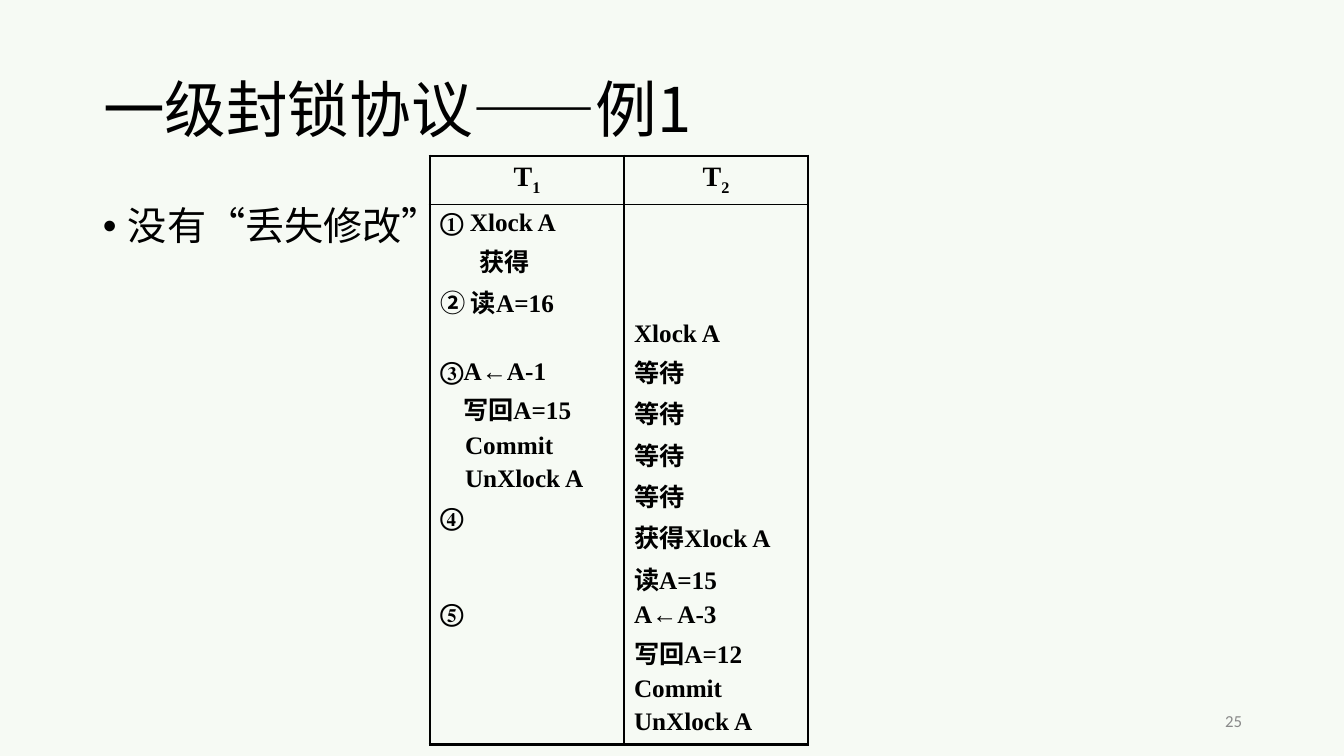
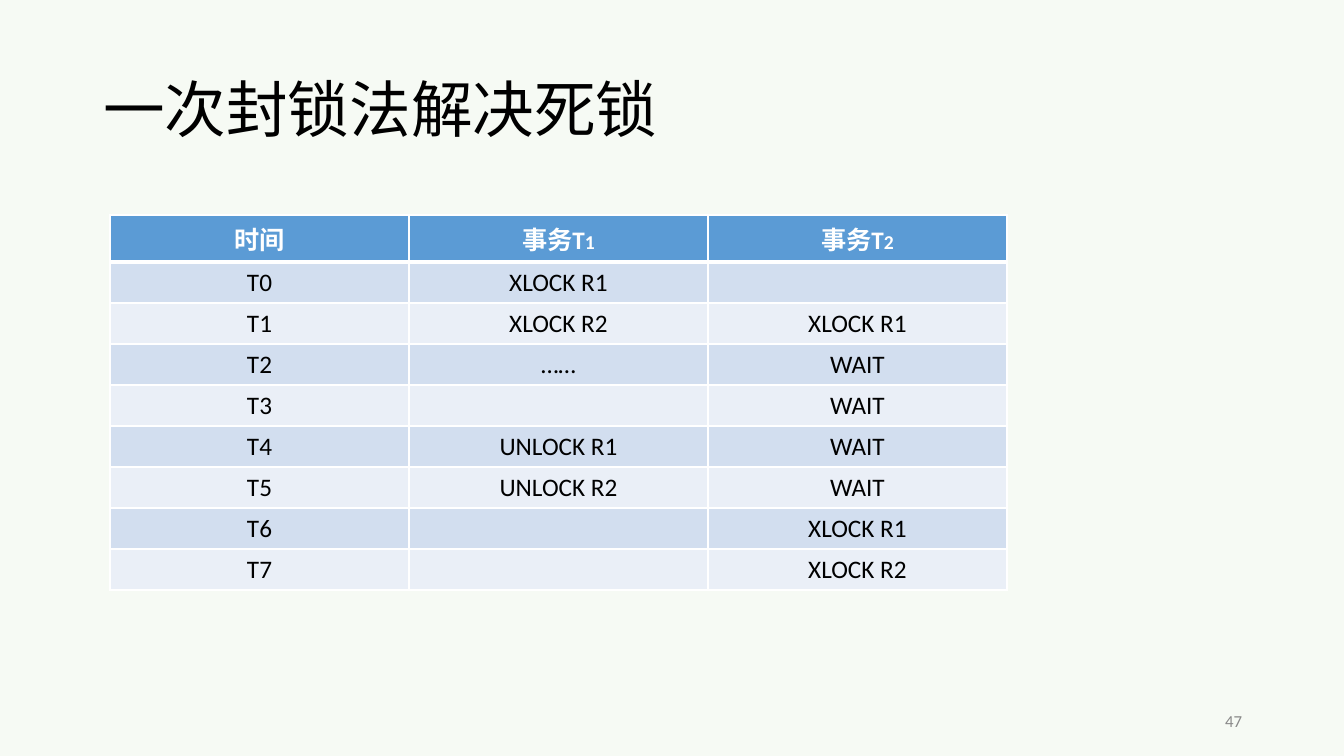
from dataclasses import dataclass

from lxml import etree
from pptx import Presentation
from pptx.dml.color import RGBColor
from pptx.enum.text import MSO_ANCHOR, MSO_AUTO_SIZE, PP_ALIGN
from pptx.oxml.ns import qn
from pptx.util import Emu, Pt

LEFT, CENTER, RIGHT, JUSTIFY = PP_ALIGN.LEFT, PP_ALIGN.CENTER, PP_ALIGN.RIGHT, PP_ALIGN.JUSTIFY
MIDDLE = MSO_ANCHOR.MIDDLE
NO_AUTOFIT = MSO_AUTO_SIZE.NONE
TITLE_ONLY = 5


@dataclass(frozen=True)
class Theme:
    paper: str = "F6FAF4"
    ink: str = "000000"
    white: str = "FFFFFF"
    muted: str = "898989"
    header: str = "5B9BD5"
    bands: tuple = ("D2DEEF", "EAEFF7")
    cjk: str = "Noto Sans CJK SC"
    sans: str = "Calibri"
    serif: str = "Times New Roman"
    title: int = 44
    body: int = 28
    heading: int = 20
    cell: int = 18
    small: int = 14
    number: int = 12
    thin: float = 1
    frame: float = 2.25
    rule: float = 3


THEME = Theme()
SLIDE_SIZE = (1344, 756)
TITLE_BOX = (93, 40, 1159, 146)
BODY_BOX = (93, 202, 1159, 480)
NUMBER_BOX = (950, 701, 302, 40)
LINE_GAP = 3.5

# Each step: text, left indent in px, space before in points
T1_STEPS = [
    ("① Xlock A", 0, 0),
    ("获得", 39, LINE_GAP),
    ("② 读A=16", 0, LINE_GAP),
    ("③A←A-1", 0, 27),
    ("写回A=15", 23, LINE_GAP),
    ("Commit", 25, LINE_GAP),
    ("UnXlock A", 25, LINE_GAP),
    ("④", 0, 8),
    ("⑤", 0, 49),
]
T2_LINES = ["Xlock A", "等待", "等待", "等待", "等待", "获得Xlock A", "读A=15",
            "A←A-3", "写回A=12", "Commit", "UnXlock A"]
T2_STEPS = [(line, 0, LINE_GAP if index else 0) for index, line in enumerate(T2_LINES)]
T2_START = 116

SCHEDULE_HEADER = [("时间", ""), ("事务T", "1"), ("事务T", "2")]
SCHEDULE = [
    ("T0", "XLOCK R1", ""),
    ("T1", "XLOCK R2", "XLOCK R1"),
    ("T2", "……", "WAIT"),
    ("T3", "", "WAIT"),
    ("T4", "UNLOCK R1", "WAIT"),
    ("T5", "UNLOCK R2", "WAIT"),
    ("T6", "", "XLOCK R1"),
    ("T7", "", "XLOCK R2"),
]


def px(length):
    return Emu(round(length * 914400 / 100.8))


def place(shape, box):
    shape.left, shape.top, shape.width, shape.height = map(px, box)


def style(para, size, font, color=THEME.ink, bold=False, align=LEFT):
    """Format a whole paragraph, with the shared font for Chinese text."""
    para.alignment = align
    para.font.size = Pt(size)
    para.font.name = font
    para.font.bold = bold
    para.font.color.rgb = RGBColor.from_string(color)
    defaults = para._p.get_or_add_pPr().find(qn("a:defRPr"))
    etree.SubElement(defaults, qn("a:ea")).set("typeface", THEME.cjk)


def indent(para, left, first=0):
    properties = para._p.get_or_add_pPr()
    properties.set("marL", str(px(left)))
    properties.set("indent", str(px(first)))
    return properties


def add_span(para, text):
    span = para.add_run()
    span.text = text
    return span


def set_borders(cell, color, left, top, right, bottom):
    """Draw the four cell edges; widths are in points."""
    properties = cell._tc.get_or_add_tcPr()
    for tag, width in (("lnL", left), ("lnR", right), ("lnT", top), ("lnB", bottom)):
        line = etree.SubElement(properties, qn("a:" + tag), w=str(Pt(width)))
        fill = etree.SubElement(line, qn("a:solidFill"))
        etree.SubElement(fill, qn("a:srgbClr"), val=color)


def add_grid(page, left, top, widths, heights):
    box = map(px, (left, top, sum(widths), sum(heights)))
    table = page.shapes.add_table(len(heights), len(widths), *box).table
    table.first_row = table.horz_banding = False
    for column, width in zip(table.columns, widths):
        column.width = px(width)
    for row, height in zip(table.rows, heights):
        row.height = px(height)
    return table


def add_page(deck, title, number):
    """Add a slide with its title and page number."""
    page = deck.slides.add_slide(deck.slide_layouts[TITLE_ONLY])
    heading = page.shapes.title
    place(heading, TITLE_BOX)
    frame = heading.text_frame
    frame.text = title
    frame.auto_size = NO_AUTOFIT
    frame.vertical_anchor = MIDDLE
    frame.paragraphs[0].line_spacing = 0.9
    style(frame.paragraphs[0], THEME.title, THEME.cjk)

    frame = page.shapes.add_textbox(*map(px, NUMBER_BOX)).text_frame
    frame.word_wrap = True
    frame.vertical_anchor = MIDDLE
    frame.text = str(number)
    style(frame.paragraphs[0], THEME.number, THEME.sans, THEME.muted, align=RIGHT)
    return page


def add_bullet(page, box, text):
    frame = page.shapes.add_textbox(*map(px, box)).text_frame
    frame.word_wrap = True
    frame.text = text
    para = frame.paragraphs[0]
    properties = indent(para, 25, -25)
    etree.SubElement(properties, qn("a:buFont"), typeface="Arial")
    etree.SubElement(properties, qn("a:buChar"), char="•")
    para.line_spacing = 0.9
    style(para, THEME.body, THEME.cjk)


def fill_steps(cell, steps):
    frame = cell.text_frame
    for index, (text, left, gap) in enumerate(steps):
        para = frame.add_paragraph() if index else frame.paragraphs[0]
        add_span(para, text)
        indent(para, left)
        para.space_before = Pt(gap)
        style(para, THEME.cell, THEME.serif, bold=True, align=JUSTIFY)


def add_transactions(page, left, top):
    """Two transactions side by side, each step at its moment in time."""
    table = add_grid(page, left, top, (194, 184), (46, 540))
    thin, thick = THEME.thin, THEME.frame
    for column, steps in enumerate((T1_STEPS, T2_STEPS)):
        sides = (thick, thin) if column == 0 else (thin, thick)
        head, body = table.cell(0, column), table.cell(1, column)
        set_borders(head, THEME.ink, sides[0], thick, sides[1], thin)
        set_borders(body, THEME.ink, sides[0], thin, sides[1], thick)
        for cell in (head, body):
            cell.fill.background()
        para = head.text_frame.paragraphs[0]
        add_span(para, "T")
        subscript = add_span(para, str(column + 1))
        subscript._r.get_or_add_rPr().set("baseline", "-25000")
        style(para, THEME.heading, THEME.serif, bold=True, align=CENTER)
        fill_steps(body, steps)
    table.cell(1, 1).margin_top = px(T2_START)


def add_schedule(page, left, top):
    """Banded timetable of the locks that each transaction asks for."""
    table = add_grid(page, left, top, [299] * 3, [47] + [41] * len(SCHEDULE))
    rows = [SCHEDULE_HEADER] + [[(text, "") for text in row] for row in SCHEDULE]
    thin, rule = THEME.thin, THEME.rule
    for row, entries in enumerate(rows):
        is_header = row == 0
        fill = THEME.header if is_header else THEME.bands[(row - 1) % 2]
        color = THEME.white if is_header else THEME.ink
        for column, (text, suffix) in enumerate(entries):
            cell = table.cell(row, column)
            set_borders(cell, THEME.white, thin, rule if row == 1 else thin,
                        thin, rule if is_header else thin)
            cell.fill.solid()
            cell.fill.fore_color.rgb = RGBColor.from_string(fill)
            para = cell.text_frame.paragraphs[0]
            if text:
                add_span(para, text)
            if suffix:
                add_span(para, suffix).font.size = Pt(THEME.small)
            style(para, THEME.cell, THEME.sans, color, is_header, CENTER)


def main():
    deck = Presentation()
    deck.slide_width, deck.slide_height = map(px, SLIDE_SIZE)
    background = deck.slide_master.background.fill
    background.solid()
    background.fore_color.rgb = RGBColor.from_string(THEME.paper)

    page = add_page(deck, "一级封锁协议——例1", 25)
    add_bullet(page, BODY_BOX, "没有“丢失修改”")
    add_transactions(page, 430, 156)

    page = add_page(deck, "一次封锁法解决死锁", 47)
    add_schedule(page, 110, 215)

    deck.save("out.pptx")


if __name__ == "__main__":
    main()
